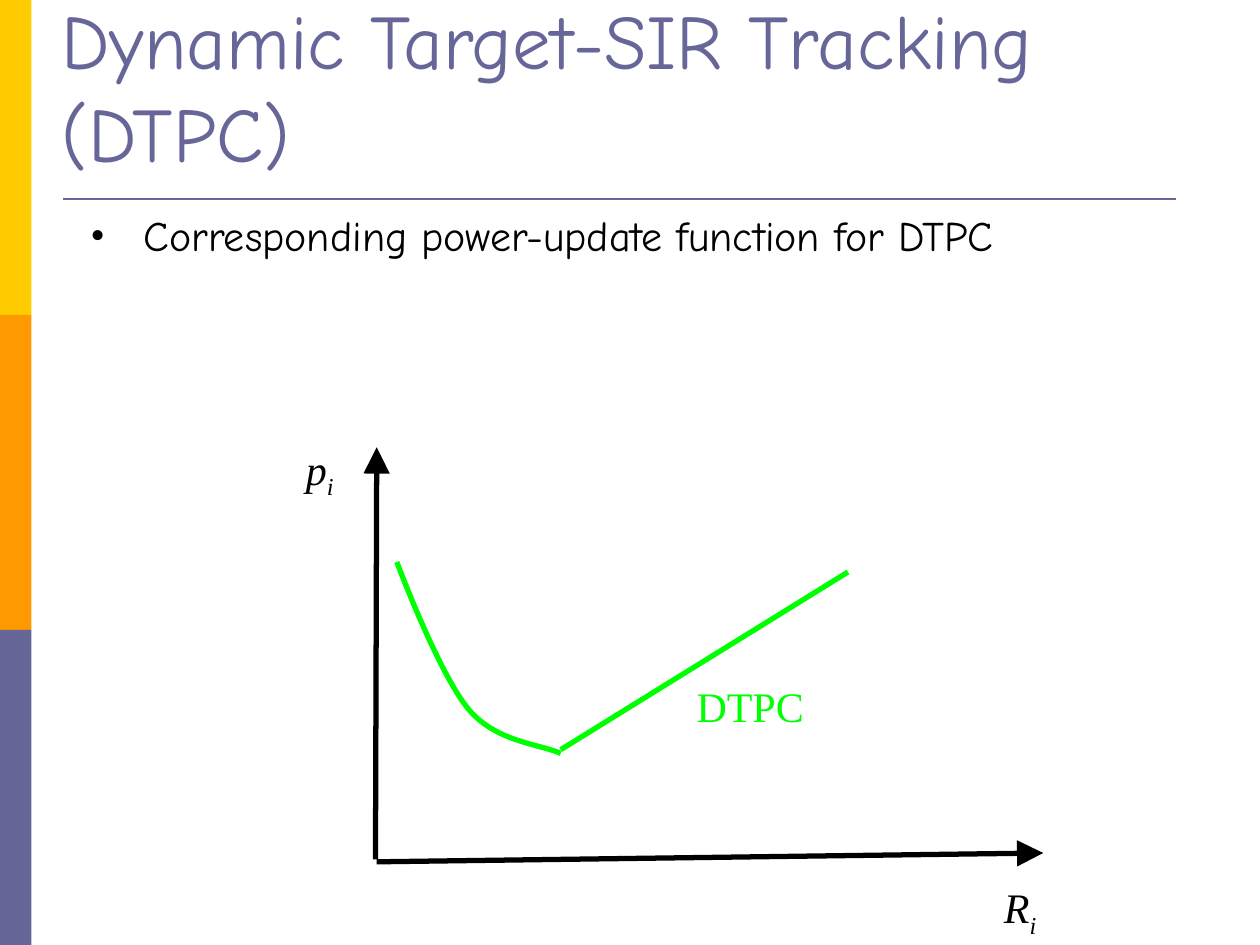
from dataclasses import dataclass

from lxml.etree import SubElement
from pptx import Presentation
from pptx.dml.color import RGBColor
from pptx.enum.shapes import MSO_CONNECTOR, MSO_SHAPE
from pptx.enum.text import MSO_ANCHOR
from pptx.oxml.ns import qn
from pptx.slide import Slide
from pptx.text.text import TextFrame, _Paragraph
from pptx.util import Inches, Pt

COLORS = {
    "yellow": "FFCC00",
    "orange": "FF9900",
    "violet": "666699",
    "black": "000000",
    "green": "00FF00",
}
HEADING_FONT = "Comic Neue"
LABEL_FONT = "Times New Roman"
BAND_WIDTH = 0.25
BAND_HEIGHT = 2.5
CURVE_STEPS = 40

Point = tuple[float, float]


@dataclass(frozen=True)
class Line:
    start: Point
    end: Point
    color: str
    width: float = 3
    arrow: bool = False


@dataclass(frozen=True)
class Label:
    left: float
    top: float
    width: float
    text: str
    subscript: str = ""
    color: str = "black"


LINES = [
    Line((0.5, 1.58), (9.33, 1.58), "violet", width=1.5),
    Line((2.98, 6.82), (2.99, 3.55), "black", arrow=True),
    Line((2.99, 6.84), (8.28, 6.77), "black", arrow=True),
    Line((4.45, 5.95), (6.73, 4.54), "green"),
]
LABELS = [
    Label(7.87, 6.95, 0.47, "R", "i"),
    Label(2.33, 3.47, 0.43, "p", "i"),
    Label(5.43, 5.35, 1.06, "DTPC", color="green"),
]
CURVE_SEGMENTS = [
    ((3.15, 4.46), (3.22, 4.65), (3.51, 5.38), (3.72, 5.63)),
    ((3.72, 5.63), (3.94, 5.89), (4.27, 5.9), (4.45, 5.98)),
]


def rgb(color: str) -> RGBColor:
    return RGBColor.from_string(COLORS[color])


def add_band(slide: Slide, index: int, color: str) -> None:
    band = slide.shapes.add_shape(
        MSO_SHAPE.RECTANGLE,
        Inches(0),
        Inches(index * BAND_HEIGHT),
        Inches(BAND_WIDTH),
        Inches(BAND_HEIGHT),
    )
    band.shadow.inherit = False
    band.fill.solid()
    band.fill.fore_color.rgb = rgb(color)
    band.line.fill.background()


def add_line(slide: Slide, line: Line) -> None:
    connector = slide.shapes.add_connector(
        MSO_CONNECTOR.STRAIGHT, *map(Inches, line.start + line.end)
    )
    connector.line.color.rgb = rgb(line.color)
    connector.line.width = Pt(line.width)
    if line.arrow:
        outline = connector.line._get_or_add_ln()
        SubElement(outline, qn("a:tailEnd"), type="triangle", w="lg", len="lg")
    SubElement(connector._element.spPr, qn("a:effectLst"))


def curve_point(segment: tuple[Point, ...], t: float) -> Point:
    weights = ((1 - t) ** 3, 3 * t * (1 - t) ** 2, 3 * t**2 * (1 - t), t**3)
    x, y = (
        sum(weight * point[axis] for weight, point in zip(weights, segment))
        for axis in (0, 1)
    )
    return Inches(x), Inches(y)


def add_curve(slide: Slide, segments: list[tuple[Point, ...]], color: str) -> None:
    builder = slide.shapes.build_freeform(*curve_point(segments[0], 0))
    points = [
        curve_point(segment, step / CURVE_STEPS)
        for segment in segments
        for step in range(1, CURVE_STEPS + 1)
    ]
    builder.add_line_segments(points, close=False)
    curve = builder.convert_to_shape()
    curve.shadow.inherit = False
    curve.fill.background()
    curve.line.color.rgb = rgb(color)
    curve.line.width = Pt(3)


def add_text_frame(
    slide: Slide, left: float, top: float, width: float, height: float
) -> TextFrame:
    shape = slide.shapes.add_textbox(*map(Inches, (left, top, width, height)))
    shape.text_frame.word_wrap = True
    return shape.text_frame


def add_run(
    paragraph: _Paragraph,
    text: str,
    font: str,
    size: float,
    color: str,
    italic: bool = False,
    subscript: bool = False,
) -> None:
    run = paragraph.add_run()
    run.text = text
    run.font.name = font
    run.font.size = Pt(size)
    run.font.italic = italic
    run.font.color.rgb = rgb(color)
    if subscript:
        run._r.get_or_add_rPr().set("baseline", "-25000")


def add_title(slide: Slide, text: str) -> None:
    text_frame = add_text_frame(slide, 0.39, 0.95, 9.41, 0.51)
    text_frame.vertical_anchor = MSO_ANCHOR.BOTTOM
    add_run(text_frame.paragraphs[0], text, HEADING_FONT, 44, "violet")


def add_bullet(slide: Slide, text: str) -> None:
    paragraph = add_text_frame(slide, 0.12, 1.66, 9.8, 1.38).paragraphs[0]
    properties = paragraph._p.get_or_add_pPr()
    properties.set("marL", str(Inches(0.92)))
    properties.set("indent", str(Inches(-0.42)))
    SubElement(properties, qn("a:buFont"), typeface=LABEL_FONT)
    SubElement(properties, qn("a:buChar"), char="•")
    paragraph.level = 1
    paragraph.line_spacing = 0.9
    add_run(paragraph, text, HEADING_FONT, 24, "black")


def add_label(slide: Slide, label: Label) -> None:
    text_frame = add_text_frame(slide, label.left, label.top, label.width, 0.5)
    text_frame.word_wrap = False
    paragraph = text_frame.paragraphs[0]
    italic = bool(label.subscript)
    add_run(paragraph, label.text, LABEL_FONT, 24, label.color, italic)
    if label.subscript:
        add_run(paragraph, label.subscript, LABEL_FONT, 24, label.color, italic, True)


def main() -> None:
    presentation = Presentation()
    presentation.slide_width = Inches(10)
    presentation.slide_height = Inches(7.5)
    slide = presentation.slides.add_slide(presentation.slide_layouts[6])
    for index, color in enumerate(("yellow", "orange", "violet")):
        add_band(slide, index, color)
    add_title(slide, "Dynamic Target-SIR Tracking (DTPC)")
    add_bullet(slide, "Corresponding power-update function for DTPC")
    for line in LINES:
        add_line(slide, line)
    add_curve(slide, CURVE_SEGMENTS, "green")
    for label in LABELS:
        add_label(slide, label)
    presentation.save("out.pptx")


if __name__ == "__main__":
    main()
